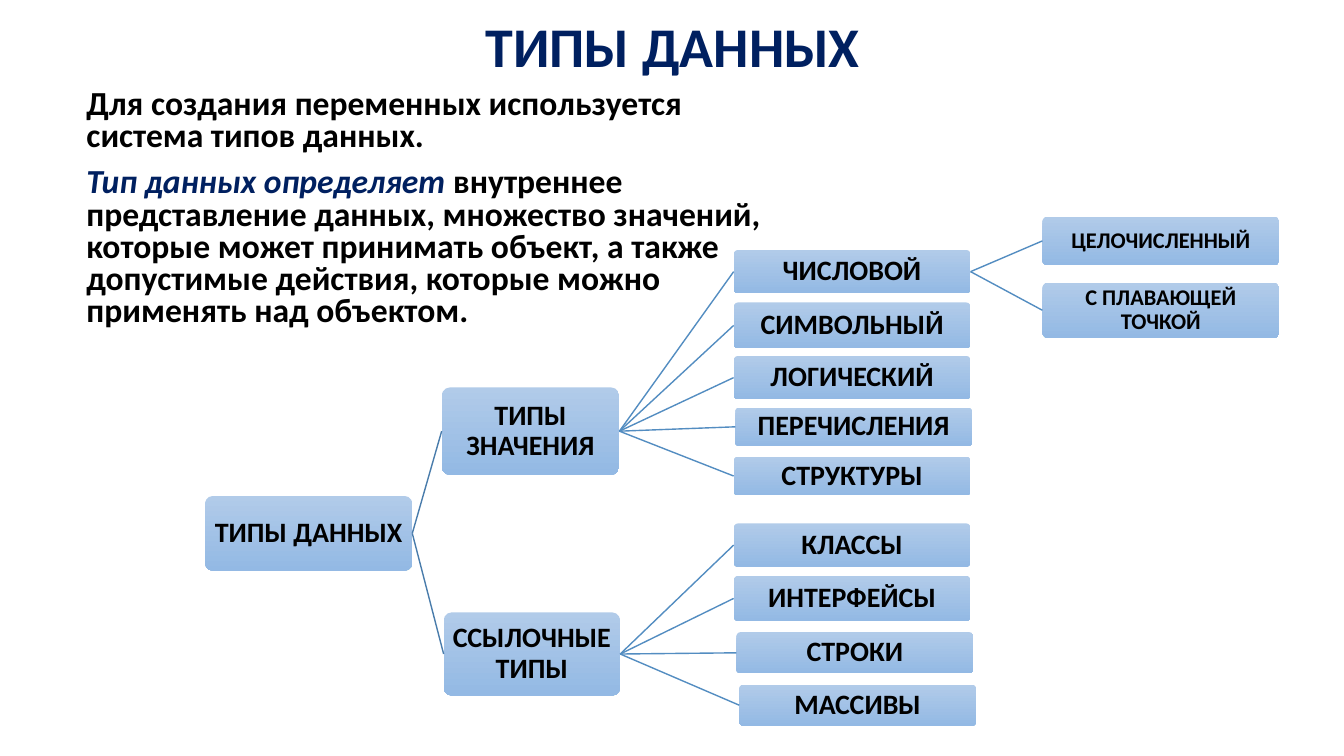
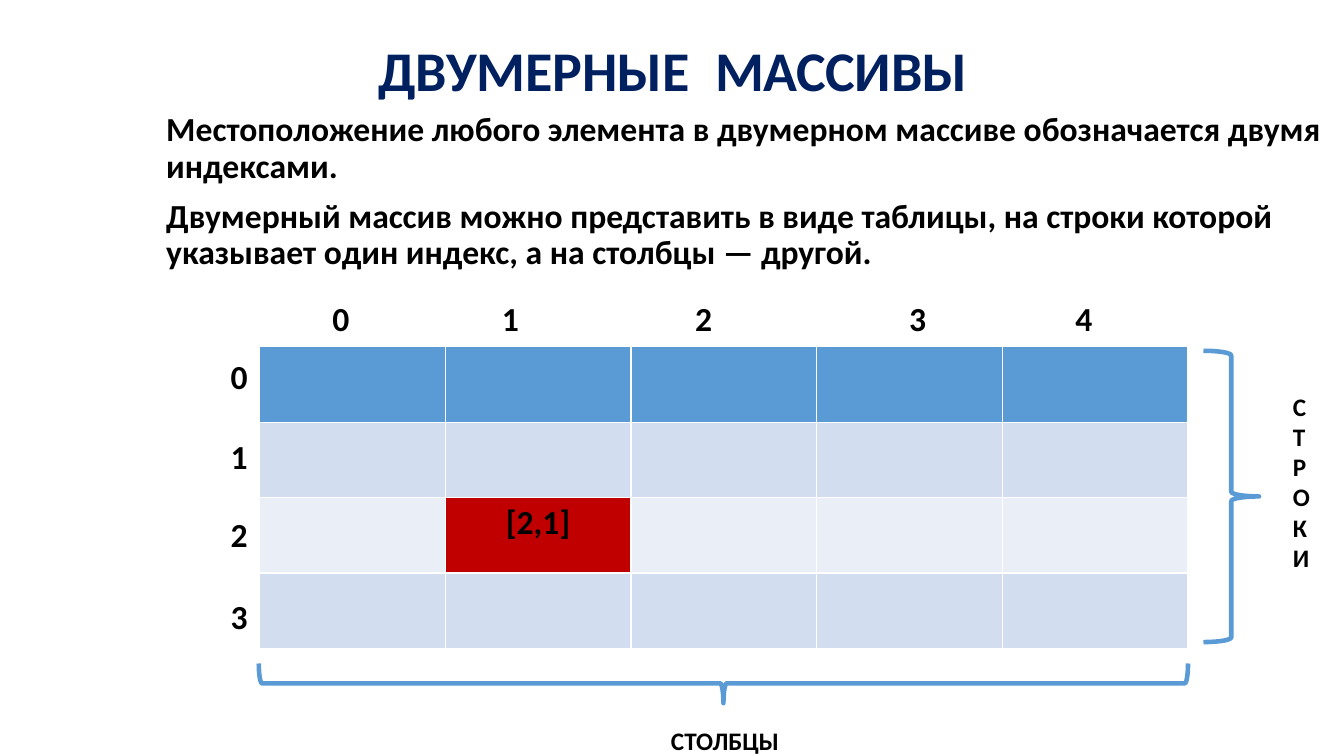
from dataclasses import dataclass

from lxml import etree
from pptx import Presentation
from pptx.dml.color import RGBColor
from pptx.enum.shapes import MSO_CONNECTOR, MSO_SHAPE
from pptx.enum.text import MSO_ANCHOR, MSO_AUTO_SIZE, PP_ALIGN
from pptx.oxml.ns import qn
from pptx.shapes.autoshape import Shape
from pptx.slide import Slide
from pptx.text.text import TextFrame
from pptx.util import Cm, Pt

FONT = "Calibri"
NAVY = RGBColor(0x00, 0x20, 0x60)
BLACK = RGBColor(0x00, 0x00, 0x00)
NODE_TOP = RGBColor(0xB1, 0xCB, 0xE9)
NODE_BOTTOM = RGBColor(0x93, 0xB9, 0xE4)
TRUNK = RGBColor(0x49, 0x7C, 0xAB)
BRANCH = RGBColor(0x53, 0x8D, 0xC1)
BLUE = RGBColor(0x5B, 0x9B, 0xD5)
BAND_DARK = RGBColor(0xD2, 0xDE, 0xEF)
BAND_LIGHT = RGBColor(0xEA, 0xEF, 0xF7)
RED = RGBColor(0xC0, 0x00, 0x00)

CENTER = PP_ALIGN.CENTER
LEFT = PP_ALIGN.LEFT
MIDDLE = MSO_ANCHOR.MIDDLE
NO_FIT = MSO_AUTO_SIZE.NONE
GROW = MSO_AUTO_SIZE.SHAPE_TO_FIT_TEXT
ROUND_RECT = MSO_SHAPE.ROUNDED_RECTANGLE
RIGHT_BRACE = MSO_SHAPE.RIGHT_BRACE
STRAIGHT = MSO_CONNECTOR.STRAIGHT
LEFT_SIDE, RIGHT_SIDE = 1, 3
TITLE_ONLY = 5


@dataclass(frozen=True)
class Box:
    left: float
    top: float
    width: float
    height: float

    def lengths(self) -> tuple[Cm, Cm, Cm, Cm]:
        return Cm(self.left), Cm(self.top), Cm(self.width), Cm(self.height)


@dataclass(frozen=True)
class Run:
    text: str
    color: RGBColor = BLACK
    italic: bool = False


@dataclass(frozen=True)
class Node:
    label: str
    box: Box
    parent: str = ""
    size: int = 20
    line: RGBColor = BRANCH


def leaf(label: str, parent: str, top: float, height: float,
         left: float = 18.49, size: int = 20) -> Node:
    return Node(label, Box(left, top, 5.97, height), parent, size)


ROOT, VALUES, REFS = "ТИПЫ ДАННЫХ", "ТИПЫ ЗНАЧЕНИЯ", "ССЫЛОЧНЫЕ ТИПЫ"
NUMERIC = "ЧИСЛОВОЙ"
NODES = [
    Node(ROOT, Box(5.17, 12.5, 5.22, 1.88)),
    Node(VALUES, Box(11.13, 9.76, 4.48, 2.21), ROOT, line=TRUNK),
    leaf(NUMERIC, VALUES, 6.3, 1.09),
    leaf("ЦЕЛОЧИСЛЕННЫЙ", NUMERIC, 5.46, 1.22, 26.27, 16),
    leaf("С ПЛАВАЮЩЕЙ ТОЧКОЙ", NUMERIC, 7.12, 1.4, 26.27, 16),
    leaf("СИМВОЛЬНЫЙ", VALUES, 7.62, 1.16),
    leaf("ЛОГИЧЕСКИЙ", VALUES, 8.97, 1.09),
    leaf("ПЕРЕЧИСЛЕНИЯ", VALUES, 10.27, 0.97, 18.53),
    leaf("СТРУКТУРЫ", VALUES, 11.51, 0.97),
    Node(REFS, Box(11.18, 15.43, 4.45, 2.1), ROOT, line=TRUNK),
    leaf("КЛАССЫ", REFS, 13.19, 1.09),
    leaf("ИНТЕРФЕЙСЫ", REFS, 14.51, 1.14),
    leaf("СТРОКИ", REFS, 15.93, 1.04, 18.56),
    leaf("МАССИВЫ", REFS, 17.25, 1.04, 18.63),
]

COLUMN_LABEL_LEFTS = [8.13, 12.4, 17.27, 22.66, 26.85]
ROW_LABEL_TOPS = [8.84, 10.87, 12.83, 14.88]
ROW_FILLS = [BLUE, BAND_DARK, BAND_LIGHT, BAND_DARK]
MARKED_CELL = (2, 1)


def write(tf: TextFrame, paragraphs: list[list[Run]], size: float,
          align: PP_ALIGN = LEFT, spacing: float = 1.0, before: float = 0) -> None:
    for i, runs in enumerate(paragraphs):
        p = tf.add_paragraph() if i else tf.paragraphs[0]
        p.alignment = align
        p.line_spacing = spacing
        p.space_before = Pt(before)
        for run in runs:
            r = p.add_run()
            r.text = run.text
            r.font.name = FONT
            r.font.size = Pt(size)
            r.font.bold = True
            r.font.italic = run.italic
            r.font.color.rgb = run.color


def add_titled_slide(prs: Presentation, title: str, height: float) -> Slide:
    s = prs.slides.add_slide(prs.slide_layouts[TITLE_ONLY])
    sp = s.shapes.title
    sp.left, sp.top, sp.width, sp.height = Box(2.44, 0, 29.03, height).lengths()
    tf = sp.text_frame
    tf.auto_size = NO_FIT
    tf.vertical_anchor = MIDDLE
    write(tf, [[Run(title, NAVY)]], 40, CENTER, 0.9)
    return s


def add_body(s: Slide, box: Box, paragraphs: list[list[Run]], spacing: float) -> None:
    tf = s.shapes.add_textbox(*box.lengths()).text_frame
    tf.word_wrap = True
    write(tf, paragraphs, 24, spacing=spacing, before=10)


def add_label(s: Slide, box: Box, lines: list[str], size: float,
              wrap: bool = False) -> None:
    tf = s.shapes.add_textbox(*box.lengths()).text_frame
    tf.word_wrap = wrap
    tf.auto_size = GROW
    write(tf, [[Run(line)] for line in lines], size)


def add_node(s: Slide, node: Node) -> Shape:
    sp = s.shapes.add_shape(ROUND_RECT, *node.box.lengths())
    sp.adjustments[0] = 0.1
    sp.shadow.inherit = False
    sp.line.fill.background()
    sp.fill.gradient()
    sp.fill.gradient_angle = 270
    for stop, color in zip(sp.fill.gradient_stops, (NODE_TOP, NODE_BOTTOM)):
        stop.color.rgb = color
    tf = sp.text_frame
    tf.word_wrap = True
    tf.vertical_anchor = MIDDLE
    tf.margin_left = tf.margin_right = tf.margin_top = tf.margin_bottom = Cm(0.08)
    write(tf, [[Run(node.label)]], node.size, CENTER, 0.9)
    return sp


def join(s: Slide, parent: Shape, child: Shape, color: RGBColor) -> None:
    line = s.shapes.add_connector(STRAIGHT, 0, 0, 0, 0)
    line.begin_connect(parent, RIGHT_SIDE)
    line.end_connect(child, LEFT_SIDE)
    line.line.color.rgb = color
    line.line.width = Pt(1)
    etree.SubElement(line._element.spPr, qn("a:effectLst"))


def add_brace(s: Slide, box: Box, rotation: float = 0) -> None:
    sp = s.shapes.add_shape(RIGHT_BRACE, *box.lengths())
    sp.rotation = rotation
    sp.shadow.inherit = False
    sp.fill.background()
    sp.line.color.rgb = BLUE
    sp.line.width = Pt(3.25)


def add_grid(s: Slide, box: Box) -> None:
    table = s.shapes.add_table(len(ROW_FILLS), len(COLUMN_LABEL_LEFTS),
                               *box.lengths()).table
    for i, color in enumerate(ROW_FILLS):
        for cell in table.rows[i].cells:
            cell.fill.solid()
            cell.fill.fore_color.rgb = color
    marked = table.cell(*MARKED_CELL)
    marked.fill.fore_color.rgb = RED
    write(marked.text_frame, [[Run("[2,1]")]], 24, CENTER)


def build_types(prs: Presentation) -> None:
    s = add_titled_slide(prs, "ТИПЫ ДАННЫХ", 2.51)
    add_body(s, Box(1.93, 2.13, 18.39, 7.01), [
        [Run("Для создания переменных используется система типов данных.")],
        [Run("Тип данных определяет ", NAVY, True),
         Run("внутреннее представление данных, множество значений, которые "
             "может принимать объект, а также допустимые действия, которые "
             "можно применять над объектом.")],
    ], 0.8)
    drawn: dict[str, Shape] = {}
    for node in NODES:
        drawn[node.label] = add_node(s, node)
        if node.parent:
            join(s, drawn[node.parent], drawn[node.label], node.line)


def build_arrays(prs: Presentation) -> None:
    s = add_titled_slide(prs, "ДВУМЕРНЫЕ  МАССИВЫ", 3.71)
    add_body(s, Box(3.94, 2.72, 29.93, 16.33), [
        [Run("Местоположение любого элемента в двумерном массиве "
             "обозначается двумя индексами.")],
        [Run("Двумерный массив можно представить в виде таблицы, на строки "
             "которой указывает один индекс, а на столбцы — другой.")],
    ], 0.9)
    add_grid(s, Box(6.54, 8.74, 23.4, 7.6))
    for i, left in enumerate(COLUMN_LABEL_LEFTS):
        add_label(s, Box(left, 7.37, 0.94, 1.27), [str(i)], 24)
    for i, top in enumerate(ROW_LABEL_TOPS):
        add_label(s, Box(5.56, top, 0.94, 1.27), [str(i)], 24)
    add_brace(s, Box(30.33, 8.84, 1.4, 7.34))
    add_brace(s, Box(17.73, 5.51, 1, 23.42), 90)
    add_label(s, Box(32.33, 9.73, 0.94, 4.88), list("СТРОКИ"), 18)
    add_label(s, Box(16.66, 18.16, 6, 1.02), ["СТОЛБЦЫ"], 18, True)


def main() -> None:
    prs = Presentation()
    prs.slide_width, prs.slide_height = Cm(33.87), Cm(19.05)
    build_types(prs)
    build_arrays(prs)
    prs.save("out.pptx")


if __name__ == "__main__":
    main()
